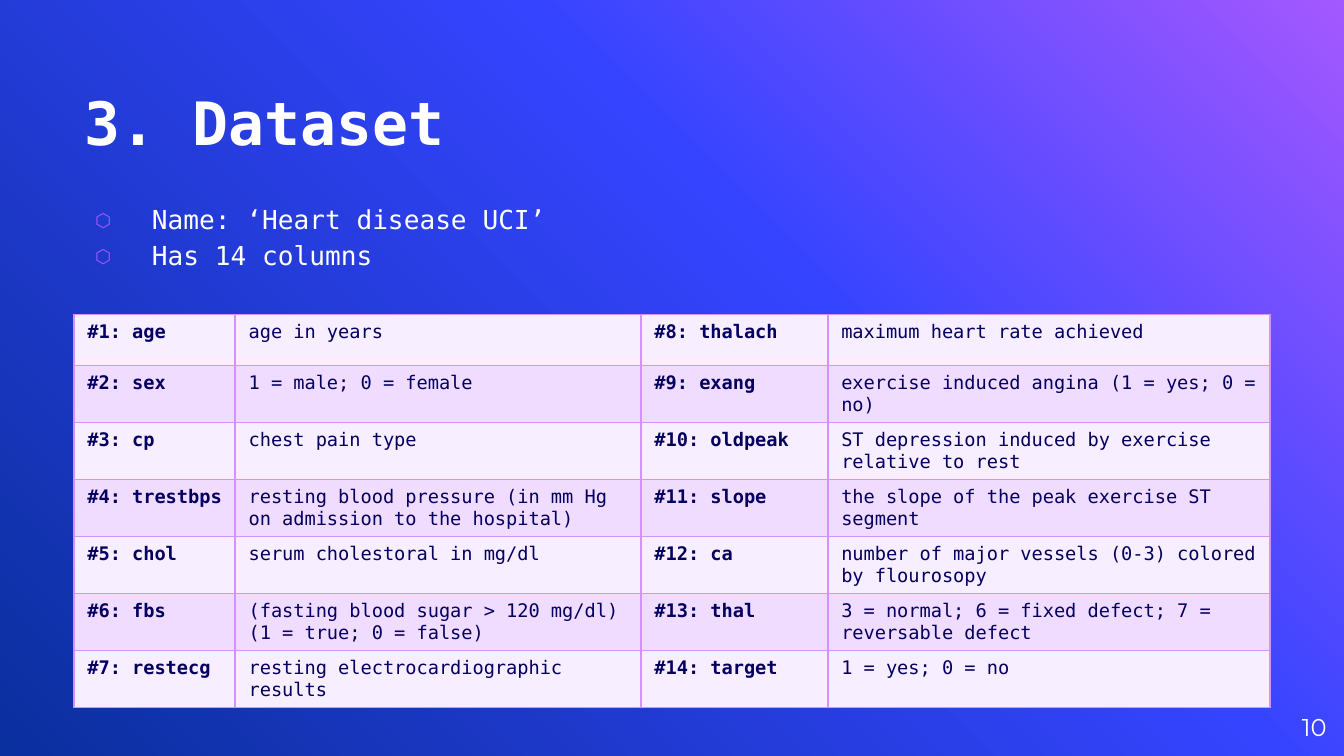
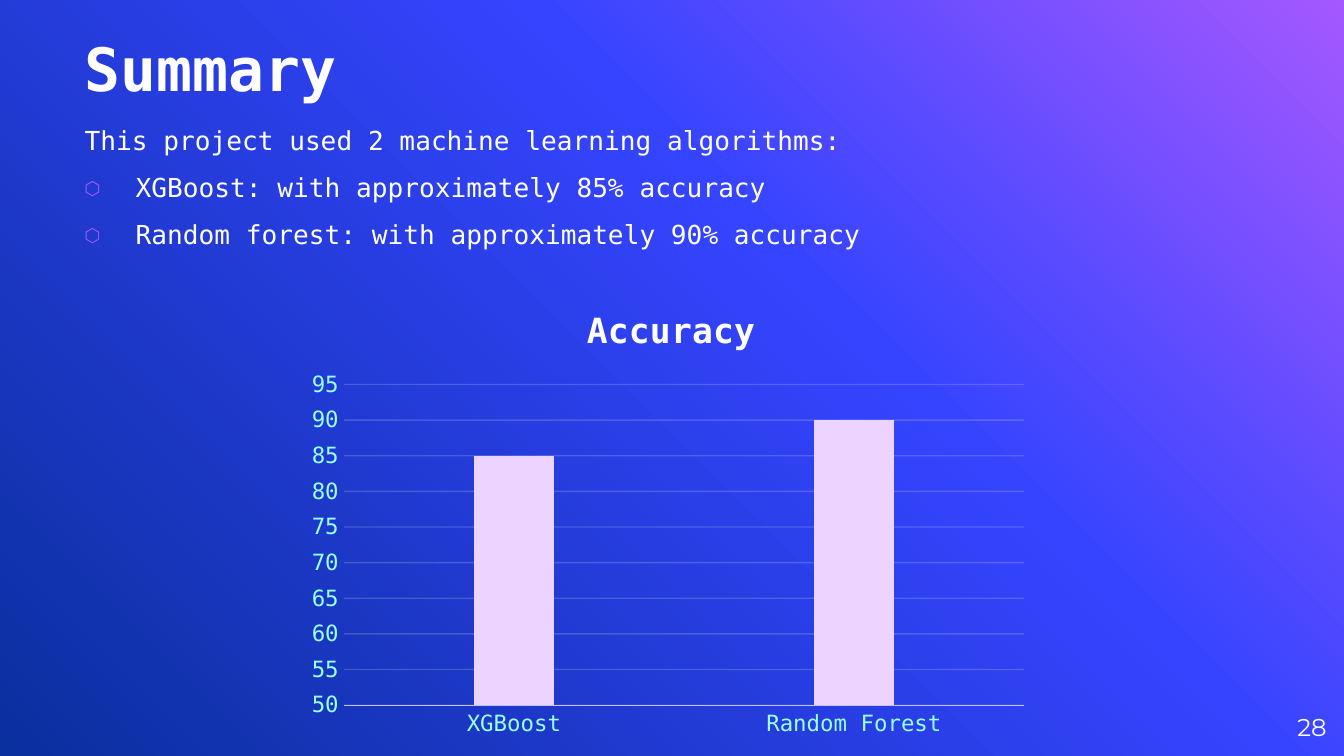
from copy import deepcopy

from pptx import Presentation
from pptx.chart.data import CategoryChartData
from pptx.dml.color import RGBColor
from pptx.enum.chart import XL_CHART_TYPE, XL_TICK_MARK
from pptx.enum.text import MSO_ANCHOR, PP_ALIGN
from pptx.oxml import parse_xml
from pptx.oxml.ns import nsdecls, qn
from pptx.util import Inches, Pt

COLUMNS = XL_CHART_TYPE.COLUMN_CLUSTERED
NO_TICK = XL_TICK_MARK.NONE
TOP, MIDDLE, BOTTOM = MSO_ANCHOR.TOP, MSO_ANCHOR.MIDDLE, MSO_ANCHOR.BOTTOM
LEFT, CENTER, RIGHT = PP_ALIGN.LEFT, PP_ALIGN.CENTER, PP_ALIGN.RIGHT

rgb = RGBColor.from_string
MONO, NUMBER_FONT = "DejaVu Sans Mono", "Montserrat"
WHITE, NAVY, CYAN = "FFFFFF", "050060", "99FFFF"
PURPLE, BORDER, AXIS, GRID, BAR = "A458FF", "D392FF", "C4C1FF", "F2F2F2", "EDD3FF"
BANDS = ["F7EEFF", "EFDCFF"]
BACKGROUND = [(0, PURPLE), (0.39, "3544FF"), (1, "0A2F9E")]


def write(frame, lines, size=14, font=MONO, color=WHITE, bold=False, align=LEFT,
          spacing=None, before=0, bullets_from=None, indent=0, hang=0):
    """Fill a text frame; lines from index bullets_from on get a hexagon bullet."""
    frame.word_wrap = True
    for i, line in enumerate(lines):
        paragraph = frame.paragraphs[0] if i == 0 else frame.add_paragraph()
        paragraph.alignment = align
        if spacing:
            paragraph.line_spacing = spacing
        if i and before:
            paragraph.space_before = Pt(before)
        if bullets_from is not None and i >= bullets_from:
            props = paragraph._p.get_or_add_pPr()
            props.set("marL", str(Inches(indent)))
            props.set("indent", str(-Inches(hang)))
            for bullet in [f'buClr {nsdecls("a")}><a:srgbClr val="{PURPLE}"/></a:buClr',
                           f'buFont {nsdecls("a")} typeface="{MONO}"/',
                           f'buChar {nsdecls("a")} char="⬡"/']:
                props.append(parse_xml(f"<a:{bullet}>"))
        run = paragraph.add_run()
        run.text = line
        run.font.size, run.font.name, run.font.bold = Pt(size), font, bold
        run.font.color.rgb = rgb(color)


def add_text(slide, box, lines, anchor=TOP, **style):
    frame = slide.shapes.add_textbox(*map(Inches, box)).text_frame
    frame.margin_left = frame.margin_right = frame.margin_top = frame.margin_bottom = 0
    frame.vertical_anchor = anchor
    write(frame, lines, **style)


prs = Presentation()
prs.slide_width = Inches(10)
prs.slide_height = prs.slide_width * 9 // 16

# Background, title and page number on both slides
slides = []
for title, title_top, page in [("3. Dataset", 0.23, "10"), ("Summary", -0.17, "28")]:
    slide = prs.slides.add_slide(prs.slide_layouts[6])
    fill = slide.background.fill
    fill.gradient()
    fill.gradient_angle = 225
    stop_list = slide._element.find(".//" + qn("a:gsLst"))
    stop_list.append(deepcopy(stop_list[0]))
    for stop, (position, color) in zip(fill.gradient_stops, BACKGROUND):
        stop.position = position
        stop.color.rgb = rgb(color)
    add_text(slide, (0.63, title_top, 6.58, 0.94), [title], anchor=BOTTOM, size=32, bold=True)
    add_text(slide, (9.27, 5.19, 0.6, 0.43), [page], anchor=MIDDLE, size=13,
             font=NUMBER_FONT, align=RIGHT)
    slides.append(slide)
dataset, summary = slides

# Dataset: the 14 columns, seven in each half of the table
add_text(dataset, (0.63, 1.48, 6.58, 3.46), ["Name: ‘Heart disease UCI’", "Has 14 columns"],
         spacing=1.15, bullets_from=0, indent=0.5, hang=0.42)

features = [
    ("age", "age in years"),
    ("sex", "1 = male; 0 = female"),
    ("cp", "chest pain type"),
    ("trestbps", "resting blood pressure (in mm Hg on admission to the hospital)"),
    ("chol", "serum cholestoral in mg/dl"),
    ("fbs", "(fasting blood sugar > 120 mg/dl) (1 = true; 0 = false)"),
    ("restecg", "resting electrocardiographic results"),
    ("thalach", "maximum heart rate achieved"),
    ("exang", "exercise induced angina (1 = yes; 0 = no)"),
    ("oldpeak", "ST depression induced by exercise relative to rest"),
    ("slope", "the slope of the peak exercise ST segment"),
    ("ca", "number of major vessels (0-3) colored by flourosopy"),
    ("thal", "3 = normal; 6 = fixed defect; 7 = reversable defect"),
    ("target", "1 = yes; 0 = no"),
]
rows = len(features) // 2
table = dataset.shapes.add_table(rows, 4, Inches(0.55), Inches(2.34),
                                 Inches(8.9), Inches(0.38 * rows)).table
table.first_row = table.horz_banding = False
for column, width in zip(table.columns, [1.2, 3.02, 1.39, 3.29]):
    column.width = Inches(width)
for row in table.rows:
    row.height = Inches(0.38)
for i, (name, meaning) in enumerate(features):
    half, row = divmod(i, rows)
    for side, text in enumerate([f"#{i + 1}: {name}", meaning]):
        cell = table.cell(row, 2 * half + side)
        cell.margin_bottom = Inches(0.04)
        write(cell.text_frame, [text], size=10, color=NAVY, bold=side == 0)
        props = cell._tc.get_or_add_tcPr()
        for edge in ["lnL", "lnR", "lnT", "lnB"]:
            props.append(parse_xml(
                f'<a:{edge} {nsdecls("a")} w="{Pt(1)}"><a:solidFill>'
                f'<a:srgbClr val="{BORDER}"/></a:solidFill></a:{edge}>'))
        cell.fill.solid()
        cell.fill.fore_color.rgb = rgb(BANDS[row % 2])

# Summary: accuracy of the two algorithms
add_text(summary, (0.63, 0.89, 8.4, 3.46),
         ["This project used 2 machine learning algorithms:",
          "XGBoost: with approximately 85% accuracy",
          "Random forest: with approximately 90% accuracy"],
         spacing=1.15, before=6, bullets_from=1, indent=0.38, hang=0.38)

data = CategoryChartData()
data.categories = ["XGBoost", "Random Forest"]
data.add_series("Series 1", [85, 90])
chart = summary.shapes.add_chart(COLUMNS, Inches(2.23), Inches(2.1), Inches(5.5),
                                 Inches(3.46), data).chart
chart.has_legend = False
chart.font.size, chart.font.name = Pt(10), "Arial"
chart.font.color.rgb = rgb(NAVY)
chart.has_title = True
write(chart.chart_title.text_frame, ["Accuracy"], size=18.6, bold=True, align=CENTER)

plot = chart.plots[0]
plot.gap_width, plot.overlap, plot.vary_by_categories = 325, -27, False
bars = plot.series[0].format.fill
bars.solid()
bars.fore_color.rgb = rgb(BAR)

categories, scale = chart.category_axis, chart.value_axis
for axis in (categories, scale):
    axis.major_tick_mark = axis.minor_tick_mark = NO_TICK
    labels = axis.tick_labels.font
    labels.size, labels.name = Pt(12), MONO
    labels.color.rgb = rgb(CYAN)
categories.format.line.color.rgb = rgb(AXIS)
categories.format.line.width = Pt(0.75)
scale.format.line.fill.background()
scale.minimum_scale, scale.maximum_scale, scale.major_unit = 50, 95, 5
grid = scale.major_gridlines.format.line
grid.color.rgb = rgb(GRID)
grid.width = Pt(0.75)
gridlines = chart._chartSpace.find(".//" + qn("c:majorGridlines"))
gridlines.find(".//" + qn("a:srgbClr")).append(
    parse_xml(f'<a:alpha {nsdecls("a")} val="19000"/>'))

# Chart title and plot area placed as fractions of the chart
placements = [("c:title", 1, "", {"x": 0.38, "y": 0.04}),
              ("c:plotArea", 0, '<c:layoutTarget val="inner"/>',
               {"x": 0.06, "y": 0.22, "w": 0.92, "h": 0.69})]
for tag, index, target, fractions in placements:
    part = chart._chartSpace.chart.find(qn(tag))
    for old in part.findall(qn("c:layout")):
        part.remove(old)
    modes = '<c:xMode val="edge"/><c:yMode val="edge"/>'
    values = "".join(f'<c:{key} val="{value}"/>' for key, value in fractions.items())
    part.insert(index, parse_xml(f'<c:layout {nsdecls("c")}><c:manualLayout>{target}{modes}{values}'
                                 '</c:manualLayout></c:layout>'))

prs.save("out.pptx")
